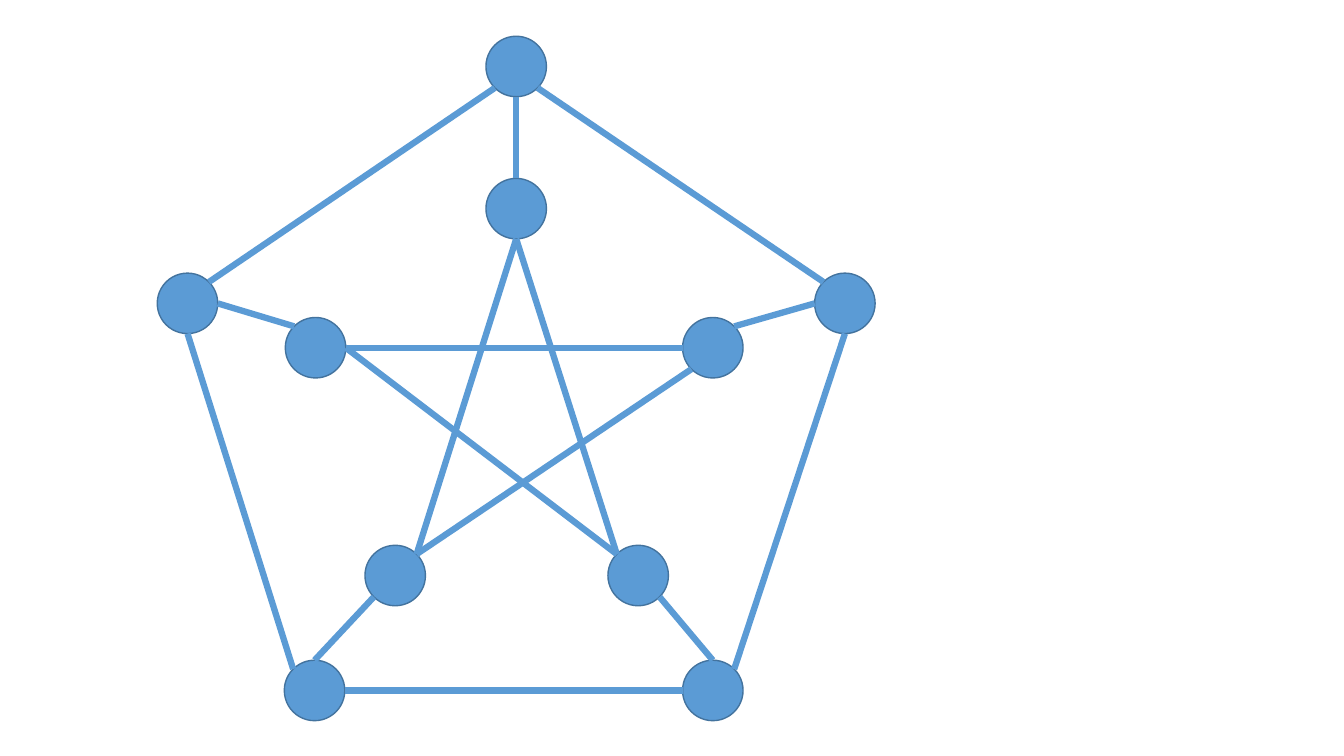
from math import cos, pi, sin

from lxml.etree import SubElement
from pptx import Presentation
from pptx.dml.color import RGBColor
from pptx.enum.shapes import MSO_CONNECTOR as Line, MSO_SHAPE as Shape
from pptx.oxml.ns import qn
from pptx.util import Inches, Pt

BLUE = RGBColor(0x5B, 0x9B, 0xD5)
NAVY = RGBColor(0x43, 0x73, 0x9E)
RADIUS = 0.3

# Centre of each node, in inches
NODES = {
    "top": (5.12, 0.66),
    "right": (8.38, 3.01),
    "left": (1.86, 3.01),
    "in left": (3.13, 3.45),
    "in right": (7.07, 3.45),
    "in top": (5.12, 2.07),
    "in low right": (6.33, 5.71),
    "in low left": (3.92, 5.71),
    "low left": (3.12, 6.85),
    "low right": (7.07, 6.85),
}

# Connection sites of an ellipse, counterclockwise from the top
N, NW, W, SW, S, SE, E, NE = range(8)

EDGES = [
    ("left", NE, "top", SW),
    ("top", SE, "right", NW),
    ("left", S, "low left", NW),
    ("low left", E, "low right", W),
    ("low left", N, "in low left", SW),
    ("in top", N, "top", S),
    ("left", E, "in left", NW),
    ("right", W, "in right", NE),
    ("low right", NE, "right", S),
    ("low right", N, "in low right", SE),
    ("in low left", NE, "in top", S),
    ("in low left", NE, "in right", SW),
    ("in top", S, "in low right", NW),
    ("in left", E, "in right", W),
    ("in left", E, "in low right", NW),
]


def rim(name, site):
    """Return the point of a node's connection site."""
    x, y = NODES[name]
    turn = pi / 2 + site * pi / 4
    return Inches(x + RADIUS * cos(turn)), Inches(y - RADIUS * sin(turn))


def add_node(shapes, x, y):
    size = Inches(2 * RADIUS)
    node = shapes.add_shape(
        Shape.OVAL, Inches(x - RADIUS), Inches(y - RADIUS), size, size)
    node.shadow.inherit = False
    node.fill.solid()
    node.fill.fore_color.rgb = BLUE
    node.line.color.rgb = NAVY
    node.line.width = Pt(1)
    return node


def add_edge(shapes, nodes, start, out, end, into):
    edge = shapes.add_connector(Line.STRAIGHT, *rim(start, out), *rim(end, into))
    edge.line.color.rgb = BLUE
    edge.line.width = Pt(4.5)
    SubElement(edge.element.spPr, qn("a:effectLst"))
    # Ellipses have eight sites, so the joints are set in XML
    joints = edge.element.find(".//" + qn("p:cNvCxnSpPr"))
    for tag, name, site in (("a:stCxn", start, out), ("a:endCxn", end, into)):
        SubElement(joints, qn(tag), id=str(nodes[name].shape_id), idx=str(site))


def main():
    deck = Presentation()
    deck.slide_width, deck.slide_height = Inches(13.33), Inches(7.5)
    slide = deck.slides.add_slide(deck.slide_layouts[6])
    graph = slide.shapes.add_group_shape().shapes
    nodes = {name: add_node(graph, *spot) for name, spot in NODES.items()}
    for edge in EDGES:
        add_edge(graph, nodes, *edge)
    deck.save("out.pptx")


if __name__ == "__main__":
    main()
